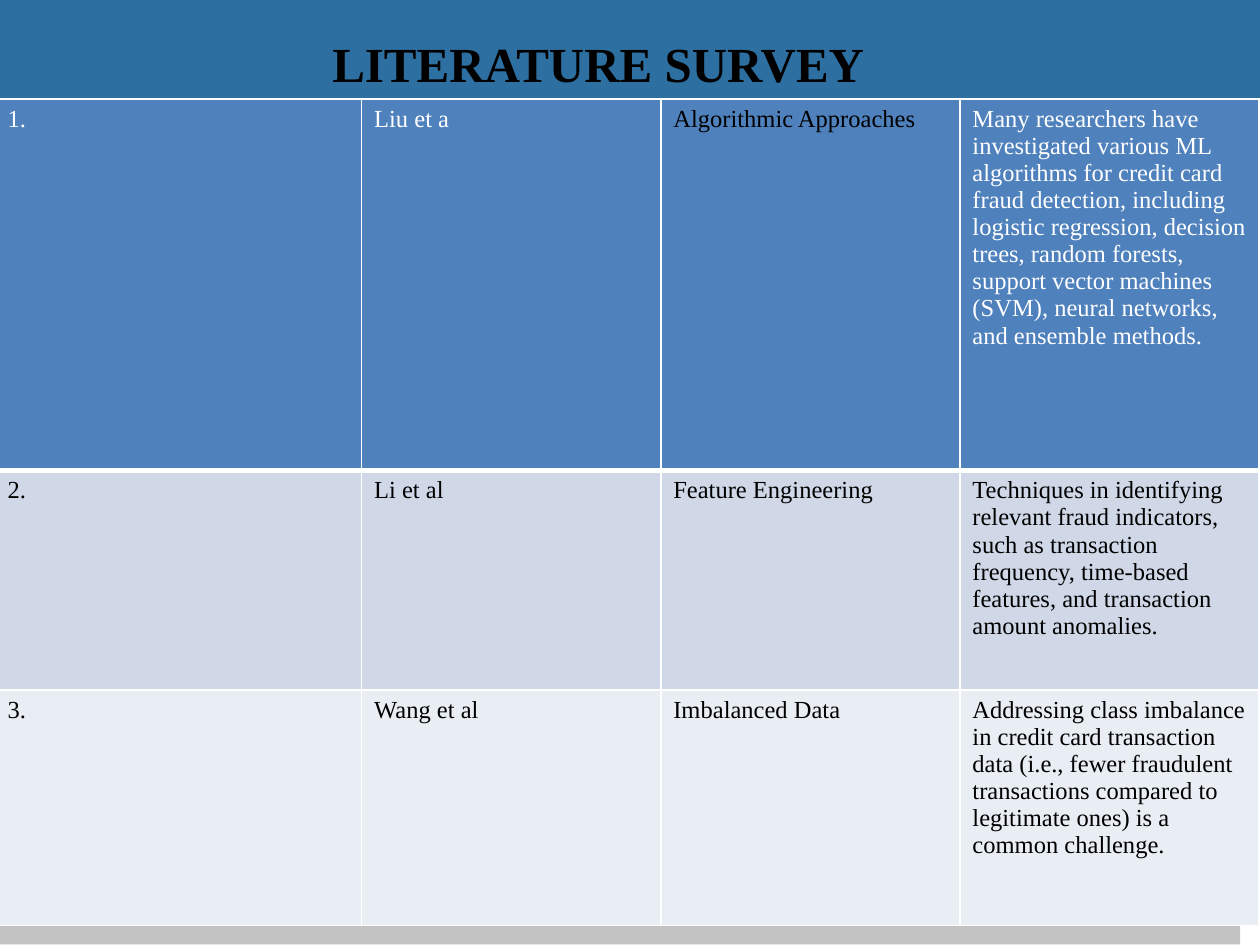
from lxml.etree import SubElement
from pptx import Presentation
from pptx.dml.color import RGBColor
from pptx.enum.shapes import MSO_SHAPE
from pptx.oxml.ns import qn
from pptx.util import Cm, Pt

HUES = {
    "band": "2D6FA0", "wave": "7A7A7A", "ink": "000000", "light": "FFFFFF",
    "head": "4F81BD", "odd": "D0D8E8", "even": "E9EDF4",
}
FONT = "Times New Roman"
ROWS = [
    ("1.", "Liu et a", "Algorithmic Approaches",
     "Many researchers have investigated various ML algorithms for credit card "
     "fraud detection, including logistic regression, decision trees, random "
     "forests, support vector machines (SVM), neural networks, and ensemble methods."),
    ("2.", "Li et al", "Feature Engineering",
     "Techniques in identifying relevant fraud indicators, such as transaction "
     "frequency, time-based features, and transaction amount anomalies."),
    ("3.", "Wang et al", "Imbalanced Data",
     "Addressing class imbalance in credit card transaction data (i.e., fewer "
     "fraudulent transactions compared to legitimate ones) is a common challenge."),
]
FILLS = ["head", "odd", "even"]
WIDTHS = [7.39, 6.03, 6.03, 6.03]
HEIGHTS = [7.49, 4.42, 4.75]
# Outline of the wave in cm, from the top left of its box.
WAVE = [
    (25.4, 0), (24.69, 0.23), (22.78, 0.81), (21.18, 1.3), (19.81, 1.65),
    (18.67, 1.96), (17.68, 2.18), (16.74, 2.39), (15.82, 2.57), (14.94, 2.72),
    (14.17, 2.84), (13.44, 2.95), (12.57, 3.05), (11.73, 3.12), (10.9, 3.2),
    (9.93, 3.25), (8.97, 3.3), (7.85, 3.33), (6.32, 3.35), (0, 3.23),
    (0, 4.01), (25.4, 4.01),
]


def rgb(name):
    return RGBColor.from_string(HUES[name])


def paint(shape, name):
    """Give a shape a plain fill without line or shadow."""
    shape.shadow.inherit = False
    shape.fill.solid()
    shape.fill.fore_color.rgb = rgb(name)
    shape.line.fill.background()


def write(frame, text, hue, **form):
    run = frame.paragraphs[0].add_run()
    run.text = text
    for key, value in {"name": FONT, **form}.items():
        setattr(run.font, key, value)
    run.font.color.rgb = rgb(hue)


def add_wave(slide, left, top):
    start, *rest = WAVE
    pen = slide.shapes.build_freeform(*start, scale=Cm(1))
    pen.add_line_segments(rest, close=True)
    wave = pen.convert_to_shape(Cm(left), Cm(top))
    paint(wave, "wave")
    tint = wave.fill._xPr.find(".//" + qn("a:srgbClr"))
    SubElement(tint, qn("a:alpha"), val="45000")


def add_header(slide, left, top, width, height):
    band = slide.shapes.add_shape(
        MSO_SHAPE.RECTANGLE, Cm(left), Cm(top), Cm(width), Cm(height))
    paint(band, "band")
    box = slide.shapes.add_textbox(
        Cm(left + 6.45), Cm(top + 0.56), Cm(12.5), Cm(1.45))
    box.text_frame.word_wrap = True
    write(box.text_frame, "LITERATURE SURVEY", "ink", size=Pt(28), bold=True)


def add_edges(cell, **sizes):
    """Draw light cell borders; sizes are points by side, in schema order."""
    props = cell._tc.get_or_add_tcPr()
    for spot, (side, size) in enumerate(sizes.items()):
        line = SubElement(props, qn("a:ln" + side), w=str(Pt(size)))
        fill = SubElement(line, qn("a:solidFill"))
        SubElement(fill, qn("a:srgbClr"), val=HUES["light"])
        props.insert(spot, line)


def add_survey(slide, left, top):
    table = slide.shapes.add_table(
        len(ROWS), len(WIDTHS), Cm(left), Cm(top),
        Cm(sum(WIDTHS)), Cm(sum(HEIGHTS))).table
    for col, width in zip(table.columns, WIDTHS):
        col.width = Cm(width)
    for r, (texts, fill, height) in enumerate(zip(ROWS, FILLS, HEIGHTS)):
        table.rows[r].height = Cm(height)
        for c, text in enumerate(texts):
            cell = table.cell(r, c)
            cell.fill.solid()
            cell.fill.fore_color.rgb = rgb(fill)
            hue = "light" if r == 0 and c != 2 else "ink"
            write(cell.text_frame, text, hue, size=Pt(14), bold=False)
            add_edges(cell, L=1, R=1, T=3 if r == 1 else 1, B=3 if r == 0 else 1)


def main():
    deck = Presentation()
    deck.slide_width, deck.slide_height = Cm(25.4), Cm(19.05)
    slide = deck.slides.add_slide(deck.slide_layouts[6])
    add_wave(slide, 0, 15.04)
    add_header(slide, 0, 0, 25.4, 2.54)
    add_survey(slide, -0.1, 2)
    deck.save("out.pptx")


if __name__ == "__main__":
    main()
